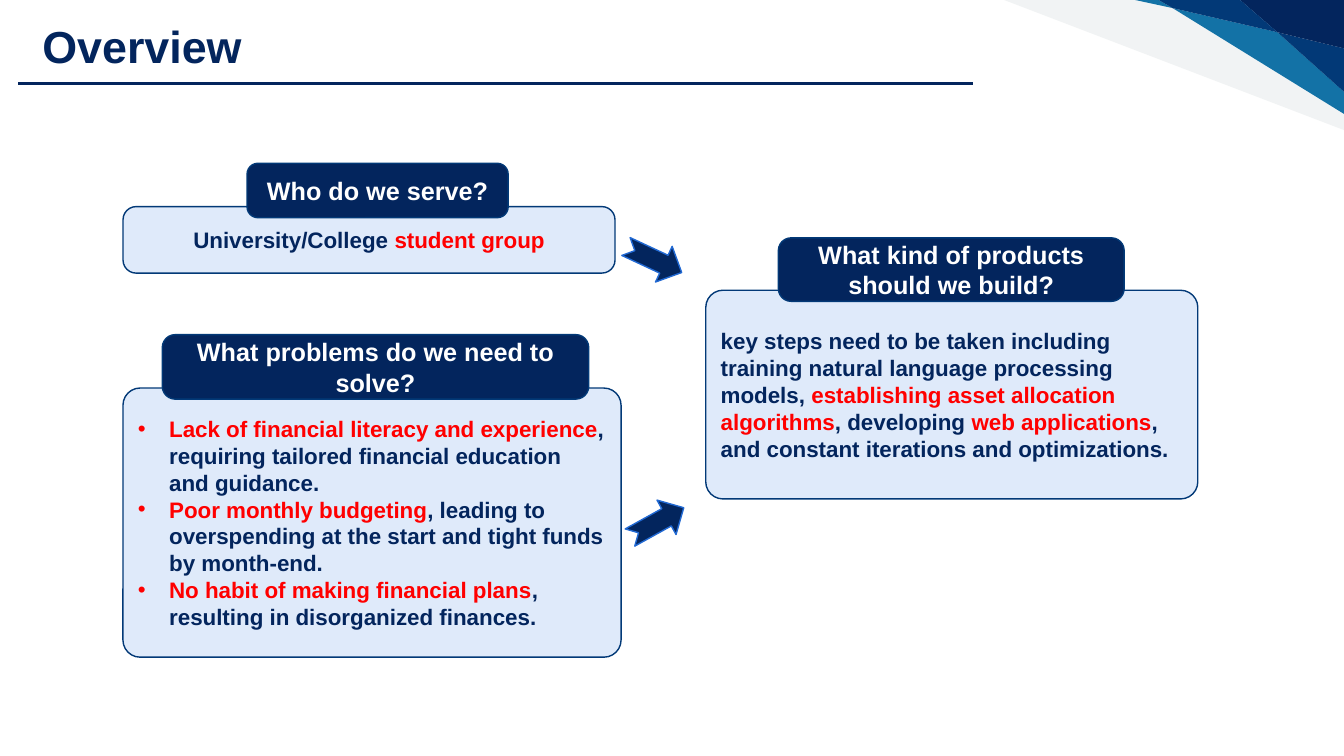
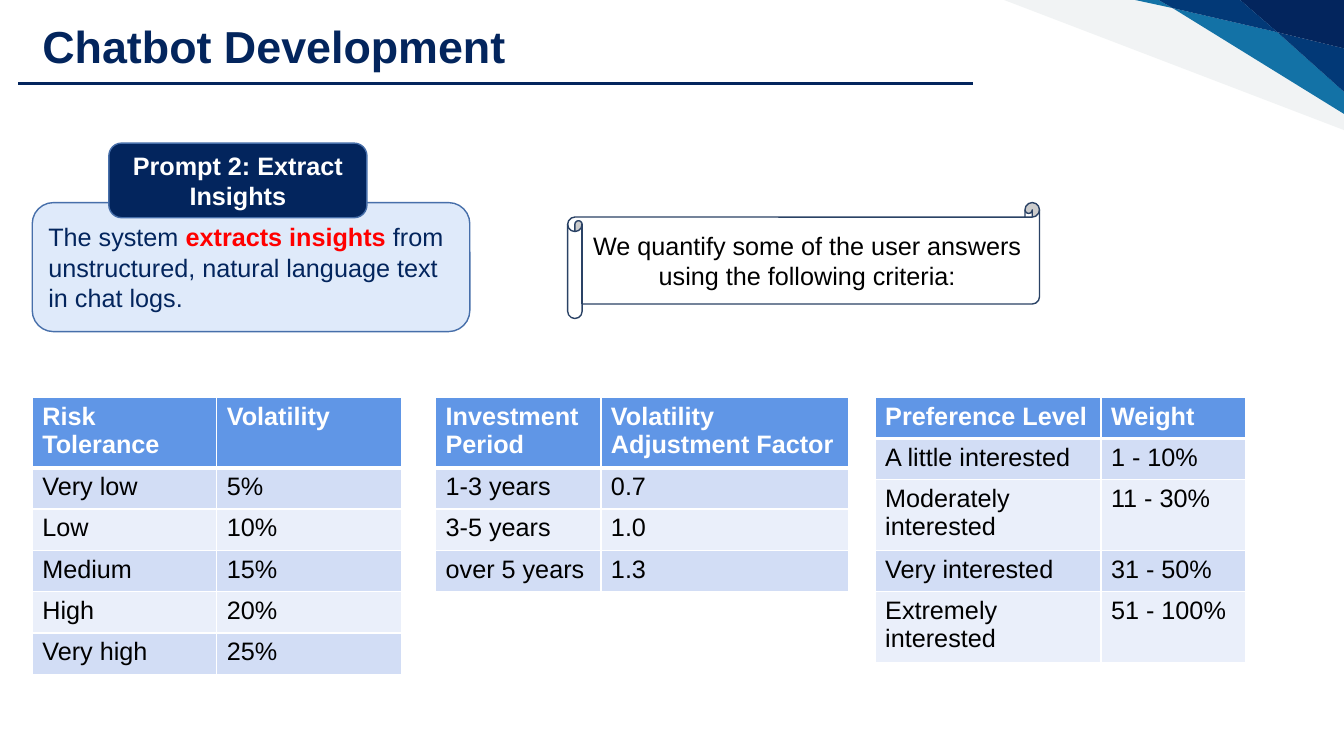
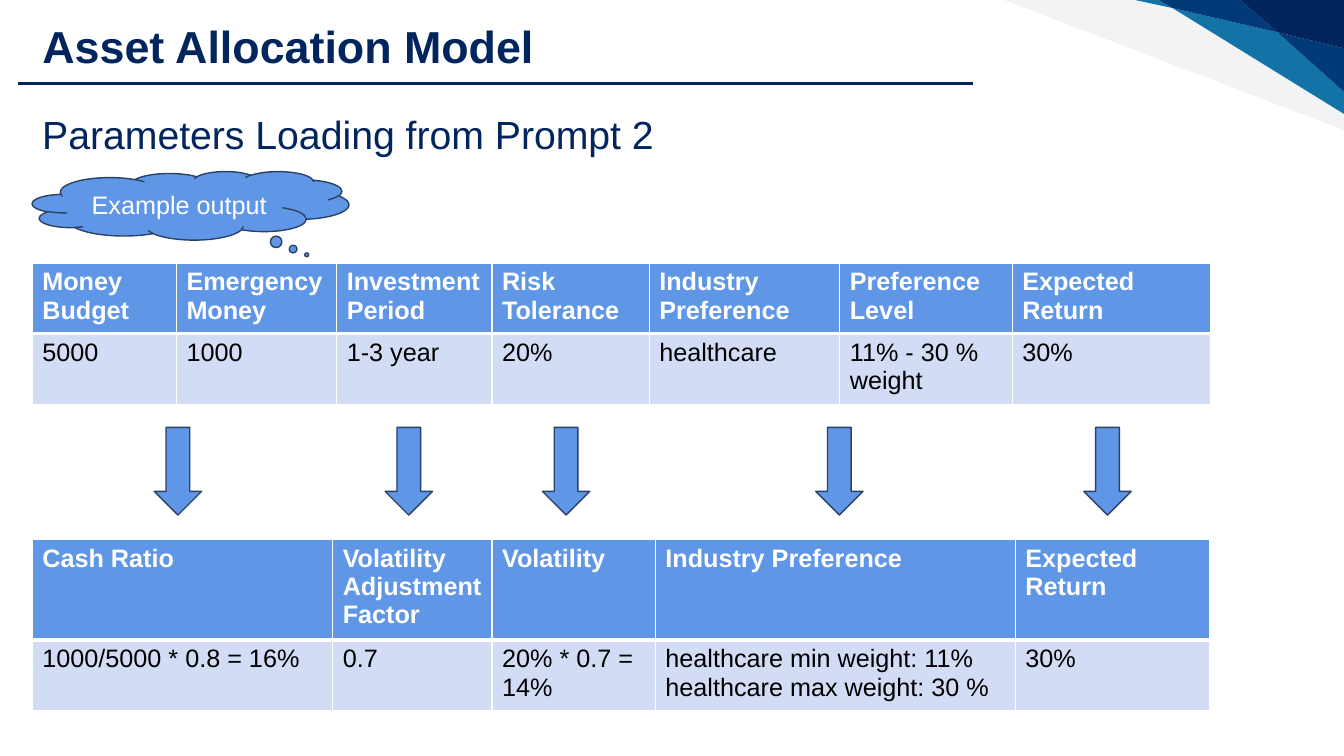
from lxml.etree import SubElement
from pptx import Presentation
from pptx.dml.color import RGBColor
from pptx.enum.shapes import MSO_CONNECTOR, MSO_SHAPE
from pptx.enum.text import MSO_ANCHOR, MSO_AUTO_SIZE, PP_ALIGN
from pptx.oxml.ns import qn
from pptx.util import Inches, Pt

COLOURS = {
    "navy": "03255D", "deep": "023977", "teal": "1372A6", "pale": "F1F3F4",
    "sky": "6096E6", "ice": "DFEAFA", "edge": "476FAA", "outline": "2A4265",
    "arrow_edge": "2169D3", "band_dark": "D2DDF5", "band_light": "EAEFFA",
    "red": "FF0000", "white": "FFFFFF", "black": "000000",
}
FONT = "Arial"
TITLE_ONLY = 5
CORNER_FACETS = [
    ("pale", [(9.96, 0), (13.33, 1.29), (13.33, 0)]),
    ("teal", [(11.26, 0), (11.63, 0.08), (11.49, 0)]),
    ("teal", [(11.63, 0.08), (13.33, 1.13), (13.33, 0.91), (12.67, 0.32)]),
    ("deep", [(12.67, 0.32), (13.33, 0.91), (13.33, 0.48)]),
    ("navy", [(12.3, 0), (12.67, 0.32), (13.33, 0.48), (13.33, 0)]),
    ("deep", [(11.49, 0), (11.63, 0.08), (12.67, 0.32), (12.3, 0)]),
]


def colour(name):
    return RGBColor.from_string(COLOURS[name])


def inches(values):
    return [Inches(value) for value in values]


def apply_format(target, values):
    for name, value in values.items():
        setattr(target, name, value)


def write_text(frame, paragraphs, size, ink, bold=False, align=PP_ALIGN.LEFT,
               anchor=MSO_ANCHOR.MIDDLE, bullets=False):
    apply_format(frame, {"word_wrap": True, "auto_size": MSO_AUTO_SIZE.NONE,
                         "vertical_anchor": anchor})
    for index, text in enumerate(paragraphs):
        paragraph = frame.add_paragraph() if index else frame.paragraphs[0]
        paragraph.alignment = align
        if bullets:
            properties = paragraph._p.get_or_add_pPr()
            properties.set("marL", str(Inches(0.31)))
            properties.set("indent", str(-Inches(0.31)))
            SubElement(properties, qn("a:buFont"), typeface=FONT)
            SubElement(properties, qn("a:buChar"), char="•")
        for position, piece in enumerate(text.split("|")):
            if not piece:
                continue
            highlighted = position % 2 == 1
            run = paragraph.add_run()
            run.text = piece
            apply_format(run.font, {"name": FONT, "size": Pt(size),
                                    "bold": bold or highlighted})
            run.font.color.rgb = colour("red" if highlighted else ink)


def add_preset(slide, kind, box, fill, line, adjustments=(), rotation=0):
    shape = slide.shapes.add_shape(kind, *inches(box))
    apply_format(shape, {"rotation": rotation})
    shape.shadow.inherit = False
    shape.fill.solid()
    shape.fill.fore_color.rgb = colour(fill)
    shape.line.color.rgb = colour(line)
    shape.line.width = Pt(1)
    for index, value in enumerate(adjustments):
        shape.adjustments[index] = value
    return shape


def decorate_layout(layout, slide):
    facets = []
    for fill, points in CORNER_FACETS:
        start, *others = [tuple(inches(point)) for point in points]
        builder = slide.shapes.build_freeform(*start, scale=1.0)
        builder.add_line_segments(others, close=True)
        facet = builder.convert_to_shape()
        facet.shadow.inherit = False
        facet.fill.solid()
        facet.fill.fore_color.rgb = colour(fill)
        facet.line.fill.background()
        facets.append(facet)
    rule = slide.shapes.add_connector(
        MSO_CONNECTOR.STRAIGHT, *inches((0.18, 0.83, 9.65, 0.83)))
    rule.line.color.rgb = colour("navy")
    rule.line.width = Pt(2.25)
    SubElement(rule.element.spPr, qn("a:effectLst"))
    for shape in [*facets, rule]:
        layout.shapes.element.append(shape.element)


def add_titled_slide(presentation, title, width=7.09):
    slide = presentation.slides.add_slide(presentation.slide_layouts[TITLE_ONLY])
    shape = slide.shapes.title
    names = ("left", "top", "width", "height")
    apply_format(shape, dict(zip(names, inches((0.32, 0.14, width, 0.64)))))
    write_text(shape.text_frame, [title], 32, "navy", bold=True,
               anchor=MSO_ANCHOR.TOP)
    return slide


def add_card(slide, box, tab, label, paragraphs, size=16, bold=True,
             align=PP_ALIGN.LEFT, bullets=False, radius=0.17, tab_corner=0.2,
             overlap=0.11, line="deep"):
    left, top, width, height = box
    tab_offset, tab_width, tab_height = tab
    drop = tab_height - overlap
    body_height = height - drop
    body = add_preset(slide, MSO_SHAPE.ROUNDED_RECTANGLE,
                      (left, top + drop, width, body_height), "ice", line,
                      [radius / body_height])
    write_text(body.text_frame, paragraphs, size, "navy", bold, align,
               bullets=bullets)
    header = add_preset(slide, MSO_SHAPE.ROUNDED_RECTANGLE,
                        (left + tab_offset, top, tab_width, tab_height),
                        "navy", line, [tab_corner])
    write_text(header.text_frame, [label], 18, "white", True, PP_ALIGN.CENTER)


def set_borders(cell, widths):
    properties = cell._tc.get_or_add_tcPr()
    for side, width in widths.items():
        border = SubElement(properties, qn(f"a:ln{side}"), w=str(Pt(width)))
        fill = SubElement(border, qn("a:solidFill"))
        SubElement(fill, qn("a:srgbClr"), val=COLOURS["white"])


def add_grid(slide, left, top, columns, heights, rows):
    frame = slide.shapes.add_table(
        len(rows), len(columns),
        *inches((left, top, sum(columns), sum(heights))))
    table = frame.table
    for column, width in zip(table.columns, columns):
        column.width = Inches(width)
    for row, height in zip(table.rows, heights):
        row.height = Inches(height)
    for row_index, texts in enumerate(rows):
        header = row_index == 0
        band = "band_dark" if row_index % 2 else "band_light"
        widths = {"L": 1, "R": 1, "T": 3 if row_index == 1 else 1,
                  "B": 3 if header else 1}
        for column_index, text in enumerate(texts):
            cell = table.cell(row_index, column_index)
            set_borders(cell, widths)
            cell.fill.solid()
            cell.fill.fore_color.rgb = colour("sky" if header else band)
            write_text(cell.text_frame, [text], 18,
                       "white" if header else "black", header,
                       anchor=MSO_ANCHOR.TOP)


def build_overview(presentation):
    slide = add_titled_slide(presentation, "Overview", 4.44)
    decorate_layout(slide.slide_layout, slide)
    add_card(slide, (1.22, 1.62, 4.88, 1.09), (1.23, 2.59, 0.54),
             "Who do we serve?", ["University/College |student group|"],
             align=PP_ALIGN.CENTER, radius=0.13)
    add_card(slide, (1.22, 3.32, 4.94, 3.2), (0.39, 4.23, 0.64),
             "What problems do we need to solve?", [
                 "|Lack of financial literacy and experience|, requiring "
                 "tailored financial education and guidance.",
                 "|Poor monthly budgeting|, leading to overspending at the "
                 "start and tight funds by month-end.",
                 "|No habit of making financial plans|, resulting in "
                 "disorganized finances."], bullets=True)
    add_card(slide, (7, 2.36, 4.88, 2.59), (0.72, 3.43, 0.63),
             "What kind of products should we build?", [
                 "key steps need to be taken including training natural "
                 "language processing models, |establishing asset allocation "
                 "algorithms|, developing |web applications|, and constant "
                 "iterations and optimizations."])
    for left, top, rotation in [(6.18, 2.38, 25), (6.21, 4.99, 331)]:
        add_preset(slide, MSO_SHAPE.NOTCHED_RIGHT_ARROW,
                   (left, top, 0.61, 0.39), "navy", "arrow_edge",
                   rotation=rotation)


def build_chatbot(presentation):
    slide = add_titled_slide(presentation, "Chatbot Development")
    add_card(slide, (0.32, 1.42, 4.34, 1.87), (0.76, 2.56, 0.74),
             "Prompt 2: Extract Insights",
             ["The system |extracts insights |from unstructured, natural "
              "language text in chat logs."],
             size=18, bold=False, radius=0.21, tab_corner=0.17, overlap=0.15,
             line="edge")
    scroll = add_preset(slide, MSO_SHAPE.HORIZONTAL_SCROLL,
                        (5.63, 2.01, 4.68, 1.15), "white", "outline")
    write_text(scroll.text_frame,
               ["We quantify some of the user answers using the following "
                "criteria:"], 18, "black", align=PP_ALIGN.CENTER)
    top, single, double = 3.94, 0.41, 0.7
    add_grid(slide, 0.32, top, [1.83, 1.83], [double] + [single] * 5, [
        ("Risk Tolerance", "Volatility"), ("Very low", "5%"), ("Low", "10%"),
        ("Medium", "15%"), ("High", "20%"), ("Very high", "25%")])
    add_grid(slide, 4.32, top, [1.64, 2.46], [double] + [single] * 3, [
        ("Investment Period", "Volatility Adjustment Factor"),
        ("1-3 years", "0.7"), ("3-5 years", "1.0"), ("over 5 years", "1.3")])
    add_grid(slide, 8.68, top, [2.24, 1.43],
             [single, single, double, single, double], [
                 ("Preference Level", "Weight"),
                 ("A little interested", "1 - 10%"),
                 ("Moderately interested", "11 - 30%"),
                 ("Very interested", "31 - 50%"),
                 ("Extremely interested", "51 - 100%")])


def build_allocation(presentation):
    slide = add_titled_slide(presentation, "Asset Allocation Model")
    subtitle = slide.shapes.add_textbox(*inches((0.32, 1.05, 7.09, 0.57)))
    write_text(subtitle.text_frame, ["Parameters Loading from Prompt 2"],
               28, "navy", anchor=MSO_ANCHOR.TOP)
    add_grid(slide, 0.32, 2.61, [1.43, 1.59, 1.54, 1.56, 1.89, 1.71, 1.97],
             [0.7, 0.7], [
                 ("Money Budget", "Emergency Money", "Investment Period",
                  "Risk Tolerance", "Industry Preference", "Preference Level",
                  "Expected Return"),
                 ("5000", "1000", "1-3 year", "20%", "healthcare",
                  "11% - 30 % weight", "30%")])
    cloud = add_preset(slide, MSO_SHAPE.CLOUD_CALLOUT, (0.32, 1.7, 3.14, 0.68),
                       "sky", "outline", [0.367, 0.718])
    write_text(cloud.text_frame, ["Example output"], 18, "white",
               align=PP_ALIGN.CENTER)
    for left in (1.53, 3.82, 5.38, 8.09, 10.75):
        add_preset(slide, MSO_SHAPE.DOWN_ARROW, (left, 4.24, 0.47, 0.87),
                   "sky", "outline")
    add_grid(slide, 0.32, 5.35, [2.98, 1.58, 1.62, 3.57, 1.93], [1, 0.7], [
        ("Cash Ratio", "Volatility Adjustment Factor", "Volatility",
         "Industry Preference", "Expected Return"),
        ("1000/5000 * 0.8 = 16%", "0.7", "20% * 0.7 = 14%",
         "healthcare min weight: 11% healthcare max weight: 30 %", "30%")])


presentation = Presentation()
apply_format(presentation, {"slide_width": Inches(13.33),
                            "slide_height": Inches(7.5)})
for build in (build_overview, build_chatbot, build_allocation):
    build(presentation)
presentation.save("out.pptx")
